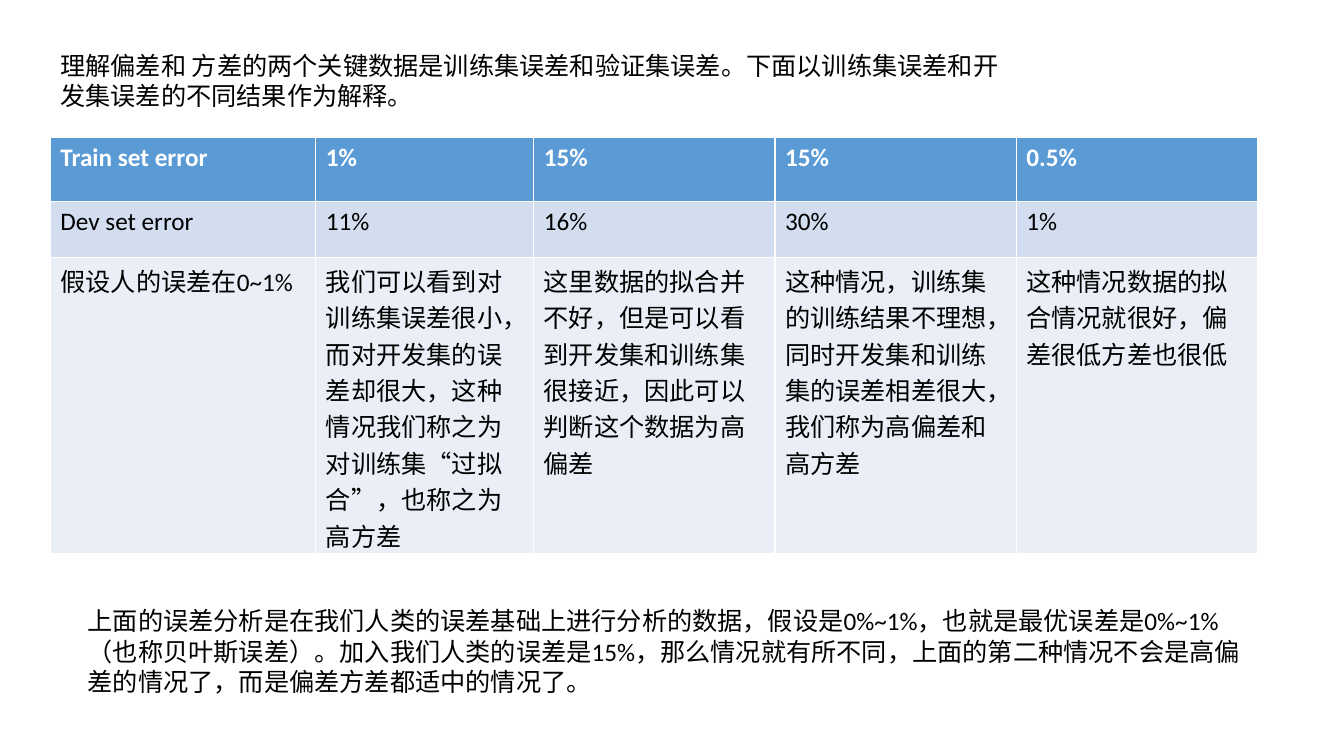
from pptx import Presentation
from pptx.dml.color import RGBColor
from pptx.enum.text import MSO_AUTO_SIZE
from pptx.util import Cm, Pt

theme = {
    "font": "Calibri", "size": Pt(18), "ink": RGBColor(0, 0, 0),
    "white": RGBColor(255, 255, 255),
    "fills": [RGBColor.from_string(c) for c in ("5B9BD5", "D2DEEF", "EAEFF7")],
}

deck = Presentation()
deck.slide_width, deck.slide_height = Cm(33.87), Cm(19.05)
slide = deck.slides.add_slide(deck.slide_layouts[6])


def write(frame, text, pitch, color=theme["ink"], bold=False):
    para = frame.paragraphs[0]
    para.line_spacing = Pt(pitch)
    run = para.add_run()
    run.text = text
    look = {"name": theme["font"], "size": theme["size"], "bold": bold}
    for key, value in look.items():
        setattr(run.font, key, value)
    run.font.color.rgb = color


notes = [
    ((1.27, 1.12, 24.15, 1.8),
     "理解偏差和 方差的两个关键数据是训练集误差和验证集误差。"
     "下面以训练集误差和开发集误差的不同结果作为解释。"),
    ((1.96, 15.11, 29.9, 2.57),
     "上面的误差分析是在我们人类的误差基础上进行分析的数据，假设是0%~1%，"
     "也就是最优误差是0%~1%（也称贝叶斯误差）。加入我们人类的误差是15%，"
     "那么情况就有所不同，上面的第二种情况不会是高偏差的情况了，"
     "而是偏差方差都适中的情况了。"),
]
for place, text in notes:
    frame = slide.shapes.add_textbox(*map(Cm, place)).text_frame
    form = {"word_wrap": True, "auto_size": MSO_AUTO_SIZE.SHAPE_TO_FIT_TEXT}
    for key, value in form.items():
        setattr(frame, key, value)
    write(frame, text, 22)

rows = [
    ["Train set error", "1%", "15%", "15%", "0.5%"],
    ["Dev set error", "11%", "16%", "30%", "1%"],
    ["假设人的误差在0~1%",
     "我们可以看到对训练集误差很小，而对开发集的误差却很大，"
     "这种情况我们称之为对训练集“过拟合”，也称之为高方差",
     "这里数据的拟合并不好，但是可以看到开发集和训练集很接近，"
     "因此可以判断这个数据为高偏差",
     "这种情况，训练集的训练结果不理想，同时开发集和训练集的误差相差很大，"
     "我们称为高偏差和高方差",
     "这种情况数据的拟合情况就很好，偏差很低方差也很低"],
]
wide = [6.69, 5.49, 6.08, 6.08, 6.08]
high = [1.63, 1.4, 7.45]
place = (1.27, 3.45, sum(wide), sum(high))
table = slide.shapes.add_table(len(high), len(wide), *map(Cm, place)).table
for col, width in zip(table.columns, wide):
    col.width = Cm(width)
for r, row in enumerate(rows):
    table.rows[r].height = Cm(high[r])
    head = r == 0
    color = theme["white"] if head else theme["ink"]
    for c, text in enumerate(row):
        cell = table.cell(r, c)
        cell.margin_bottom = 0
        cell.fill.solid()
        cell.fill.fore_color.rgb = theme["fills"][r]
        write(cell.text_frame, text, 26 if r == 2 else 22, color, head)

deck.save("out.pptx")
